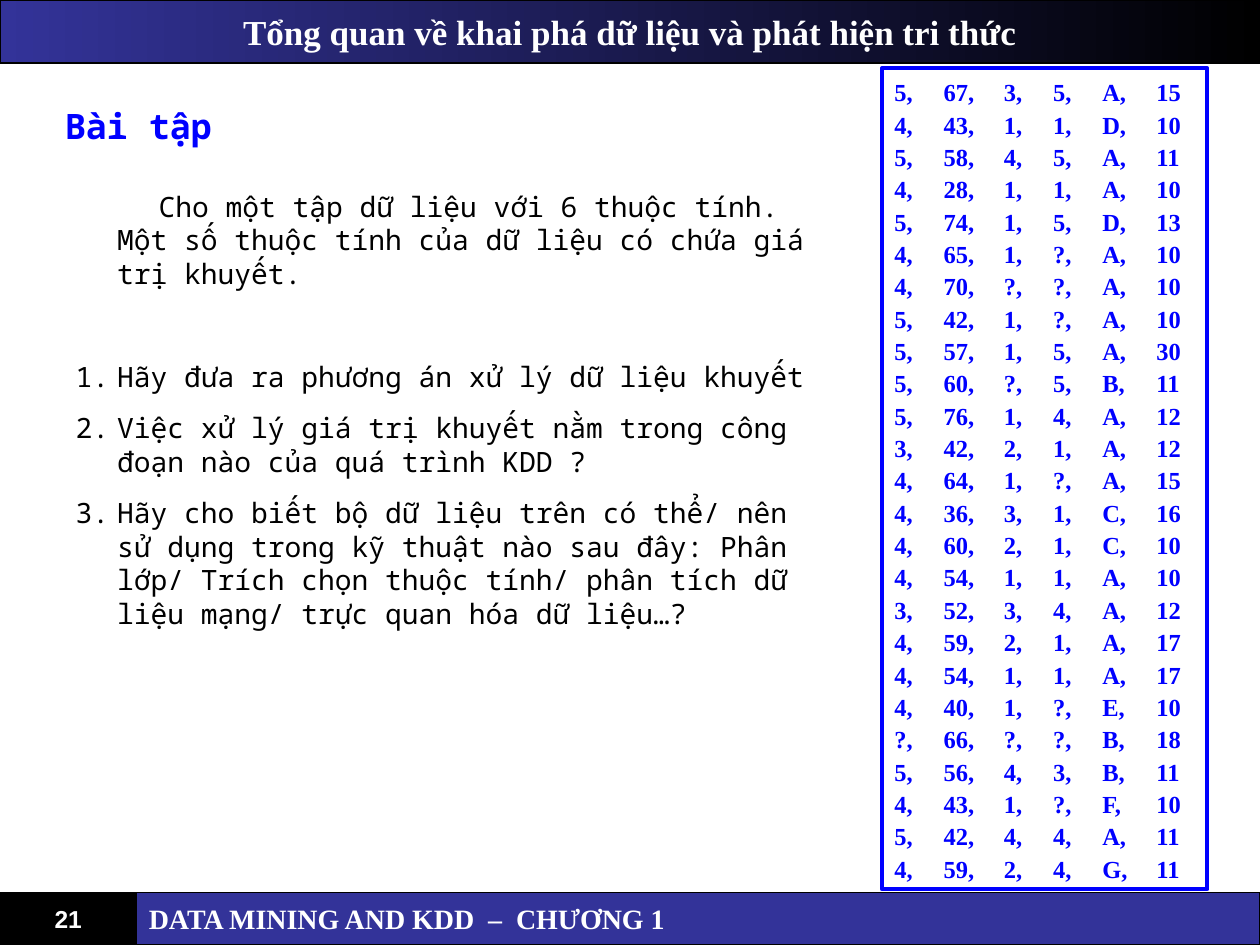
from dataclasses import dataclass

from lxml.etree import SubElement
from pptx import Presentation
from pptx.dml.color import RGBColor
from pptx.enum.shapes import MSO_SHAPE as Shape
from pptx.enum.text import MSO_ANCHOR as Anchor, MSO_AUTO_SIZE as AutoSize, PP_ALIGN as Align
from pptx.oxml.ns import qn
from pptx.util import Inches, Pt

COLUMNS, ROWS = 120, 90
SERIF, MONO, SANS = "Times New Roman", "Noto Sans Mono", "Arial"
BLACK, WHITE, BLUE, NAVY = "000000", "FFFFFF", "0000FF", "333399"
HANG = Inches(0.33)
RECORD_STOPS = (0.39, 0.87, 1.26, 1.65, 2.08)

RECORDS = """5 67 3 5 A 15
4 43 1 1 D 10
5 58 4 5 A 11
4 28 1 1 A 10
5 74 1 5 D 13
4 65 1 ? A 10
4 70 ? ? A 10
5 42 1 ? A 10
5 57 1 5 A 30
5 60 ? 5 B 11
5 76 1 4 A 12
3 42 2 1 A 12
4 64 1 ? A 15
4 36 3 1 C 16
4 60 2 1 C 10
4 54 1 1 A 10
3 52 3 4 A 12
4 59 2 1 A 17
4 54 1 1 A 17
4 40 1 ? E 10
? 66 ? ? B 18
5 56 4 3 B 11
4 43 1 ? F 10
5 42 4 4 A 11
4 59 2 4 G 11""".splitlines()

INTRODUCTION = (
    "Cho một tập dữ liệu với 6 thuộc tính. Một số thuộc tính của dữ liệu "
    "có chứa giá trị khuyết."
)
QUESTIONS = [
    "Hãy đưa ra phương án xử lý dữ liệu khuyết",
    "Việc xử lý giá trị khuyết nằm trong công đoạn nào của quá trình KDD ?",
    "Hãy cho biết bộ dữ liệu trên có thể/ nên sử dụng trong kỹ thuật nào sau đây: "
    "Phân lớp/ Trích chọn thuộc tính/ phân tích dữ liệu mạng/ trực quan hóa dữ liệu…?",
]


@dataclass(frozen=True)
class Cell:
    column: float
    row: float
    columns: float
    rows: float


@dataclass(frozen=True)
class Style:
    font: str
    size: float
    colour: str
    bold: bool = True
    align: Align = Align.LEFT
    anchor: Anchor = Anchor.MIDDLE


@dataclass(frozen=True)
class FooterPart:
    cell: Cell
    text: str
    fill: str
    style: Style


FOOTER = [
    FooterPart(Cell(0, 85, 13, 5), "21", BLACK, Style(SANS, 14, WHITE, align=Align.CENTER)),
    FooterPart(Cell(13, 85, 107, 5), "DATA MINING AND KDD  –  CHƯƠNG 1", NAVY,
               Style(SERIF, 16, WHITE)),
]


def rgb(colour: str) -> RGBColor:
    return RGBColor.from_string(colour)


def place(box, cell: Cell, deck) -> None:
    box.left = int(deck.slide_width * cell.column / COLUMNS)
    box.top = int(deck.slide_height * cell.row / ROWS)
    box.width = int(deck.slide_width * cell.columns / COLUMNS)
    box.height = int(deck.slide_height * cell.rows / ROWS)


def outline(box, colour: str, width: float) -> None:
    box.line.color.rgb = rgb(colour)
    box.line.width = Pt(width)


def write(box, lines: list[str], style: Style) -> None:
    frame = box.text_frame
    frame.text = "\n".join(lines)
    frame.word_wrap = True
    frame.auto_size = AutoSize.NONE
    frame.vertical_anchor = style.anchor
    for para in frame.paragraphs:
        para.alignment = style.align
        para.space_before = Pt(0)
        for span in para.runs:
            span.font.name = style.font
            span.font.size = Pt(style.size)
            span.font.bold = style.bold
            span.font.color.rgb = rgb(style.colour)


def add_box(slide, deck, cell: Cell):
    box = slide.shapes.add_shape(Shape.RECTANGLE, 0, 0, 0, 0)
    box.shadow.inherit = False
    place(box, cell, deck)
    return box


def indent(para, first: int) -> None:
    properties = para._p.get_or_add_pPr()
    properties.set("marL", str(HANG))
    properties.set("indent", str(first))


def add_title(slide, deck) -> None:
    title = slide.shapes.title
    place(title, Cell(0, 0, 120, 6), deck)
    write(title, ["Tổng quan về khai phá dữ liệu và phát hiện tri thức"],
          Style(SERIF, 20, WHITE, align=Align.CENTER))
    title.fill.gradient()
    title.fill.gradient_angle = 0
    for stop, colour in zip(title.fill.gradient_stops, (NAVY, BLACK)):
        stop.color.rgb = rgb(colour)
    outline(title, BLACK, 0.75)


def add_heading(slide, deck) -> None:
    heading = slide.shapes.add_textbox(0, 0, 0, 0)
    place(heading, Cell(5, 9, 103, 6), deck)
    write(heading, ["Bài tập"], Style(MONO, 20, BLUE))


def add_questions(slide, deck) -> None:
    body = slide.placeholders[1]
    place(body, Cell(6, 19, 73, 40), deck)
    write(body, [INTRODUCTION, *QUESTIONS], Style(MONO, 16, BLACK, bold=False))
    introduction, *questions = body.text_frame.paragraphs
    indent(introduction, HANG)
    SubElement(introduction._p.get_or_add_pPr(), qn("a:buNone"))
    for number, para in enumerate(questions):
        para.space_before = Pt(10 if number else 40)
        indent(para, -HANG)
        SubElement(para._p.get_or_add_pPr(), qn("a:buAutoNum"), type="arabicPeriod")


def add_records(slide, deck) -> None:
    box = add_box(slide, deck, Cell(84, 6.5, 31, 78.2))
    box.fill.background()
    outline(box, BLUE, 2.25)
    lines = [",\t".join(record.split()) for record in RECORDS]
    write(box, lines, Style(SERIF, 14, BLUE, anchor=Anchor.TOP))
    for para in box.text_frame.paragraphs:
        para.line_spacing = 1.1
        stops = SubElement(para._p.get_or_add_pPr(), qn("a:tabLst"))
        for stop in RECORD_STOPS:
            SubElement(stops, qn("a:tab"), pos=str(Inches(stop)), algn="l")


def add_footer_part(slide, deck, part: FooterPart) -> None:
    box = add_box(slide, deck, part.cell)
    box.fill.solid()
    box.fill.fore_color.rgb = rgb(part.fill)
    outline(box, BLACK, 0.75)
    write(box, [part.text], part.style)


def main() -> None:
    deck = Presentation()
    deck.slide_width, deck.slide_height = Inches(10), Inches(7.5)
    slide = deck.slides.add_slide(deck.slide_layouts[1])
    add_title(slide, deck)
    add_heading(slide, deck)
    add_records(slide, deck)
    add_questions(slide, deck)
    for part in FOOTER:
        add_footer_part(slide, deck, part)
    deck.save("out.pptx")


if __name__ == "__main__":
    main()
